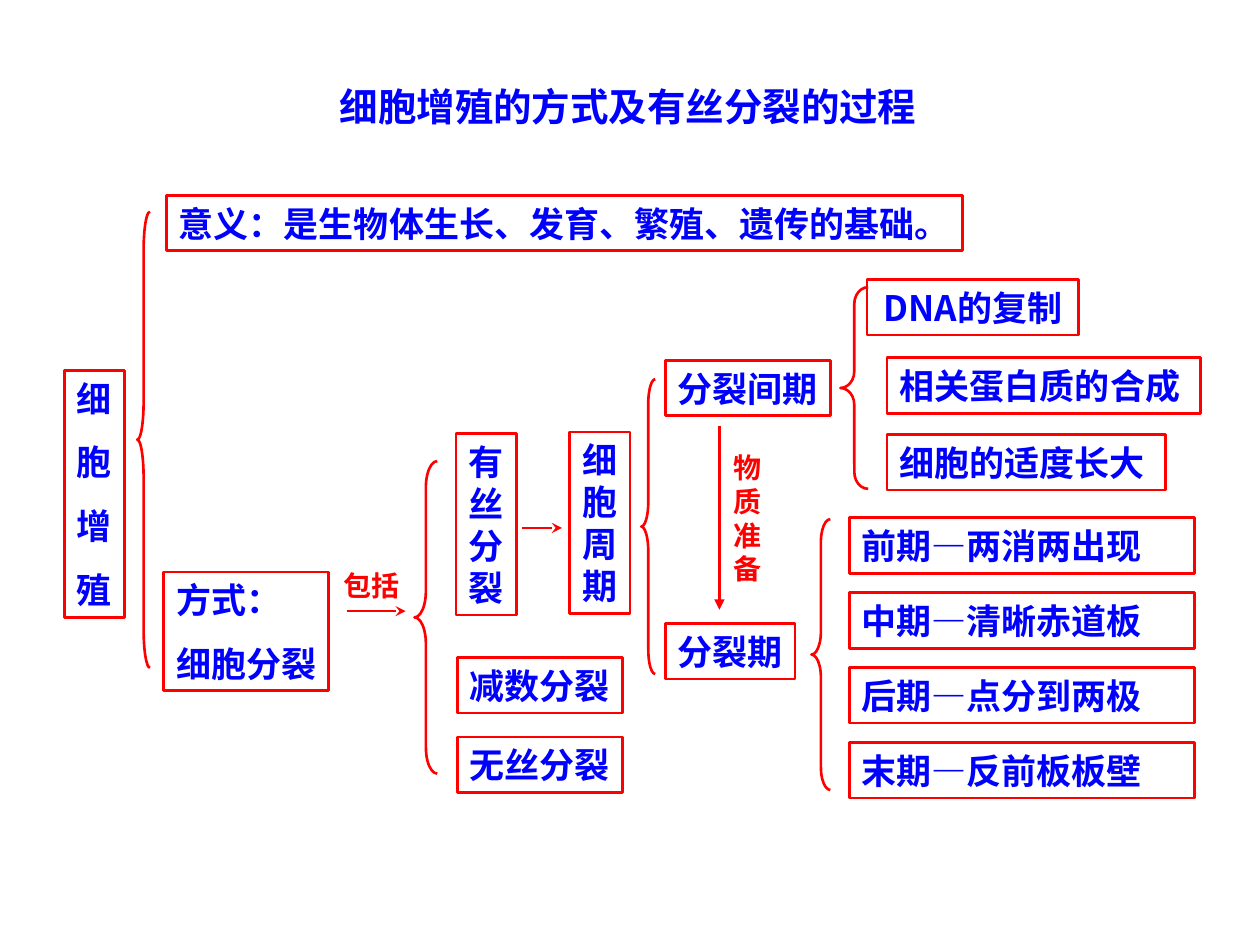
import pptx
import pptx.util
import pptx.dml.color
import pptx.enum.shapes
import pptx.enum.text
import pptx.oxml.ns
import lxml.etree

Inches = pptx.util.Inches
Pt = pptx.util.Pt
ALIGN = pptx.enum.text.PP_ALIGN
ANCHOR = pptx.enum.text.MSO_ANCHOR
SHAPE = pptx.enum.shapes.MSO_SHAPE
qn = pptx.oxml.ns.qn

BLUE = pptx.dml.color.RGBColor(0x00, 0x00, 0xFF)
RED = pptx.dml.color.RGBColor(0xFF, 0x00, 0x00)
SANS = "Noto Sans CJK SC"
SERIF = "Times New Roman"
LINE_WIDTH = Pt(1.5)
LINE_FACTOR = 1.2
ROW_HEIGHT = 0.44


def set_attributes(target, values):
    for key, value in values.items():
        setattr(target, key, value)


def write_lines(frame, lines, size=20, color=BLUE, align=ALIGN.CENTER,
                anchor=ANCHOR.MIDDLE, wrap=False, gap=0, latin=SANS):
    set_attributes(frame, {
        "word_wrap": wrap,
        "auto_size": pptx.enum.text.MSO_AUTO_SIZE.NONE,
        "vertical_anchor": anchor,
        "margin_left": Inches(0.1), "margin_right": Inches(0.1),
        "margin_top": Inches(0.05), "margin_bottom": Inches(0.05),
    })
    for index, line in enumerate(lines):
        paragraph = frame.paragraphs[0] if index == 0 else frame.add_paragraph()
        set_attributes(paragraph, {
            "alignment": align,
            "line_spacing": Pt(size * LINE_FACTOR),
            "space_before": Pt(gap if index else 0),
        })
        run = paragraph.add_run()
        run.text = line
        set_attributes(run.font, {"name": latin, "size": Pt(size), "bold": True})
        run.font.color.rgb = color
        east_asian = lxml.etree.SubElement(run.font._element, qn("a:ea"))
        east_asian.set("typeface", SANS)


def add_box(slide, left, top, width, height, lines, **text_format):
    box = slide.shapes.add_shape(SHAPE.RECTANGLE, Inches(left), Inches(top),
                                 Inches(width), Inches(height))
    box.shadow.inherit = False
    box.fill.background()
    box.line.color.rgb = RED
    box.line.width = LINE_WIDTH
    write_lines(box.text_frame, lines, **text_format)


def add_label(slide, left, top, width, height, lines, wrap):
    label = slide.shapes.add_textbox(Inches(left), Inches(top),
                                     Inches(width), Inches(height))
    write_lines(label.text_frame, lines, size=16, color=RED,
                align=ALIGN.LEFT, anchor=ANCHOR.TOP, wrap=wrap)


def add_brace(slide, left, top, width, height):
    brace = slide.shapes.add_shape(SHAPE.LEFT_BRACE, Inches(left), Inches(top),
                                   Inches(width), Inches(height))
    brace.shadow.inherit = False
    brace.fill.background()
    brace.line.color.rgb = RED
    brace.line.width = LINE_WIDTH
    brace.adjustments[0] = height / 12 / width


def add_arrow(slide, start, end, head):
    arrow = slide.shapes.add_connector(
        pptx.enum.shapes.MSO_CONNECTOR.STRAIGHT,
        Inches(start[0]), Inches(start[1]), Inches(end[0]), Inches(end[1]))
    arrow.line.color.rgb = RED
    arrow.line.width = LINE_WIDTH
    outline = arrow.line._get_or_add_ln()
    lxml.etree.SubElement(outline, qn("a:tailEnd")).set("type", head)
    lxml.etree.SubElement(arrow._element.spPr, qn("a:effectLst"))


def add_title(slide, text):
    title = slide.shapes.title
    set_attributes(title, {"left": Inches(2.16), "top": Inches(0.61),
                           "width": Inches(5.65), "height": Inches(0.47)})
    write_lines(title.text_frame, [text], size=22, wrap=True)


def main():
    deck = pptx.Presentation()
    deck.slide_width, deck.slide_height = Inches(10), Inches(7.5)
    slide = deck.slides.add_slide(deck.slide_layouts[5])
    add_title(slide, "细胞增殖的方式及有丝分裂的过程")

    add_box(slide, 0.51, 2.94, 0.48, 1.96, "细胞增殖", align=ALIGN.LEFT, gap=12.5)
    add_box(slide, 1.3, 4.54, 1.31, 0.94, ["方式：", "细胞分裂"],
            align=ALIGN.LEFT, gap=12.5)
    add_box(slide, 3.62, 3.44, 0.48, 1.44, "有丝分裂")
    add_box(slide, 4.52, 3.43, 0.48, 1.44, "细胞周期")

    for left, top, width, text, latin in (
        (1.32, 1.55, 6.32, "意义：是生物体生长、发育、繁殖、遗传的基础。", SANS),
        (3.63, 5.22, 1.31, "减数分裂", SERIF),
        (3.63, 5.85, 1.31, "无丝分裂", SANS),
        (5.28, 2.86, 1.31, "分裂间期", SERIF),
        (5.28, 4.95, 1.03, "分裂期", SANS),
        (6.88, 2.22, 1.68, "DNA的复制", SANS),
        (7.04, 2.84, 2.49, "相关蛋白质的合成 ", SERIF),
        (7.04, 3.45, 2.21, "细胞的适度长大 ", SANS),
    ):
        add_box(slide, left, top, width, ROW_HEIGHT, [text], latin=latin)

    phases = ("前期—两消两出现", "中期—清晰赤道板",
              "后期—点分到两极", "末期—反前板板壁")
    for index, phase in enumerate(phases):
        add_box(slide, 6.74, 4.11 + 0.595 * index, 2.74, ROW_HEIGHT, [phase],
                align=ALIGN.LEFT, wrap=True)

    for brace in ((1.09, 1.68, 0.1, 3.62), (3.29, 3.66, 0.18, 2.48),
                  (5.09, 3.01, 0.11, 2.34), (6.44, 4.12, 0.15, 2.15),
                  (6.67, 2.28, 0.22, 1.6)):
        add_brace(slide, *brace)

    add_label(slide, 2.63, 4.46, 1.14, 0.37, ["包括"], wrap=True)
    add_label(slide, 5.72, 3.53, 0.42, 1.17, "物质准备", wrap=False)
    add_arrow(slide, (2.75, 4.85), (3.22, 4.85), "stealth")
    add_arrow(slide, (4.14, 4.19), (4.46, 4.19), "stealth")
    add_arrow(slide, (5.71, 3.38), (5.71, 4.84), "triangle")

    deck.save("out.pptx")


if __name__ == "__main__":
    main()
